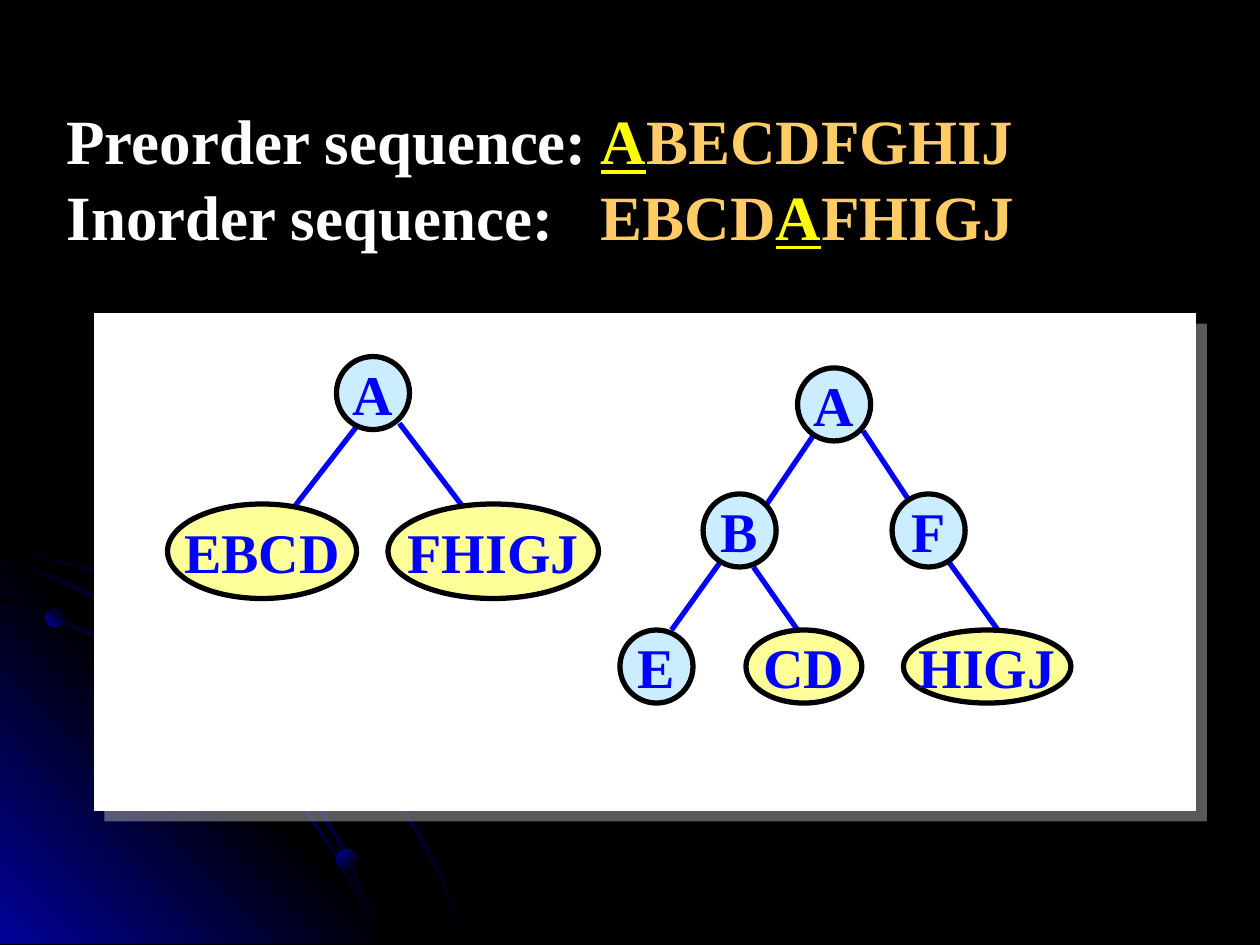
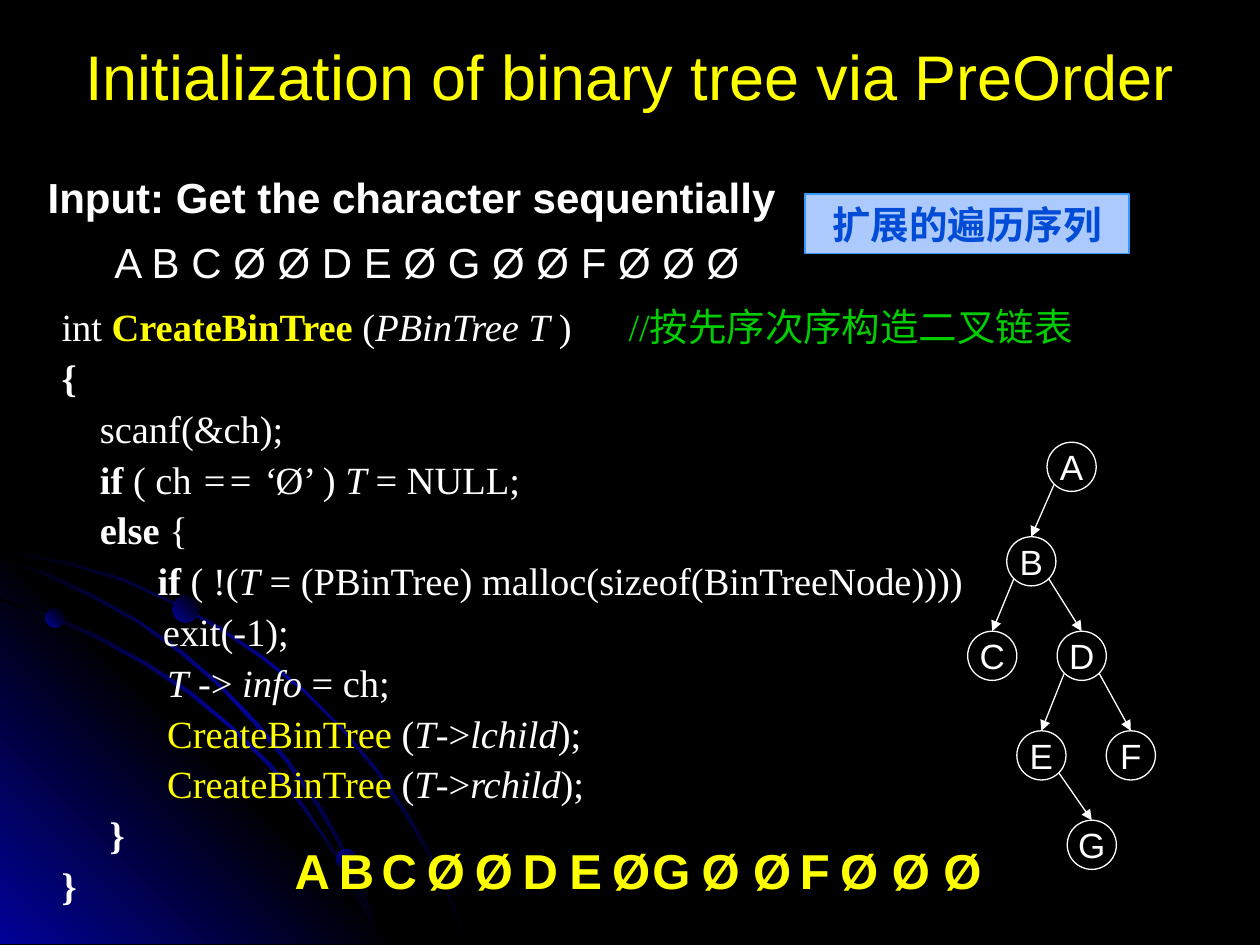
from dataclasses import dataclass
from math import sqrt
from typing import NamedTuple

from pptx import Presentation, oxml
from pptx.dml.color import RGBColor
from pptx.enum import shapes, text
from pptx.oxml import ns
from pptx.util import Inches, Pt

BLACK = RGBColor(0x00, 0x00, 0x00)
WHITE = RGBColor(0xFF, 0xFF, 0xFF)
NAVY = RGBColor(0x01, 0x01, 0x99)
BLUE = RGBColor(0x00, 0x00, 0xFF)
YELLOW = RGBColor(0xFF, 0xFF, 0x00)
ORANGE = RGBColor(0xFF, 0xCC, 0x66)
GREEN = RGBColor(0x00, 0xCC, 0x00)
PALE = RGBColor(0xCC, 0xEC, 0xFF)
CREAM = RGBColor(0xFF, 0xFF, 0x99)
TAG_FILL = RGBColor(0xAD, 0xCA, 0xFF)
TAG_LINE = RGBColor(0x33, 0x99, 0xFF)
TAG_TEXT = RGBColor(0x00, 0x4C, 0xD6)

SERIF, SANS, CJK = "Times New Roman", "Arial", "Noto Sans CJK SC"
TINTS = {"y": YELLOW, "o": ORANGE, "g": GREEN}
OVAL, RECT = shapes.MSO_SHAPE.OVAL, shapes.MSO_SHAPE.RECTANGLE
LEFT, CENTER = text.PP_ALIGN.LEFT, text.PP_ALIGN.CENTER

GLOW = [(3.22, 7.49), (0, 7.49), (0, 4.27)]
ARC_TOP = [
    (0.57, 4.47), (0.28, 4.41), (0, 4.35), (0, 4.38), (0.28, 4.43), (0.56, 4.49),
    (0.97, 4.61), (1.35, 4.78), (1.73, 4.99), (2.08, 5.23), (2.41, 5.49), (2.71, 5.79),
    (2.98, 6.12), (3.23, 6.49), (3.37, 6.73), (3.5, 6.98), (3.6, 7.23), (3.7, 7.49),
    (3.72, 7.49), (3.62, 7.23), (3.52, 6.98), (3.39, 6.73), (3.25, 6.48), (3, 6.11),
    (2.72, 5.78), (2.42, 5.48), (2.09, 5.21), (1.74, 4.97), (1.36, 4.77), (0.98, 4.59)]
ARC_LOW = [
    (2.85, 7.14), (2.94, 7.32), (3.01, 7.49), (3.03, 7.49), (2.96, 7.3), (2.86, 7.12),
    (2.66, 6.76), (2.42, 6.4), (2.15, 6.06), (1.84, 5.76), (1.52, 5.49), (1.17, 5.26),
    (0.79, 5.05), (0.41, 4.88), (0, 4.75), (0, 4.77), (0.39, 4.9), (0.77, 5.07),
    (1.15, 5.28), (1.5, 5.51), (1.83, 5.78), (2.13, 6.08), (2.4, 6.41), (2.65, 6.77)]
ARC_MID = [
    (0, 4.42), (0, 4.44), (0.36, 4.57), (0.74, 4.75), (1.09, 4.94), (1.42, 5.18),
    (1.73, 5.44), (2.02, 5.75), (2.27, 6.05), (2.52, 6.41), (2.67, 6.67), (2.8, 6.94),
    (2.92, 7.22), (3.01, 7.49), (3.03, 7.49), (2.94, 7.2), (2.82, 6.93), (2.69, 6.65),
    (2.54, 6.39), (2.29, 6.03), (2.04, 5.73), (1.75, 5.43), (1.44, 5.16), (1.11, 4.93),
    (0.76, 4.73), (0.39, 4.55)]


class Run(NamedTuple):
    """Marks: b bold, i italic, u underline, and the keys of TINTS."""
    words: str
    marks: str = ""


class Font(NamedTuple):
    face: str
    size: float
    color: RGBColor
    bold: bool = False


class Ball(NamedTuple):
    x: float
    y: float
    size: float
    angle: int


@dataclass(frozen=True)
class Node:
    label: str
    x: float
    y: float
    w: float = 0.58
    h: float = 0.58
    fill: RGBColor | None = PALE


@dataclass(frozen=True)
class Look:
    font: Font
    line: RGBColor
    width: float


BALLS = [Ball(0.36, 4.83, 0.15, 315), Ball(2.67, 6.74, 0.16, 45)]
MID_BALL = Ball(1.37, 4.73, 0.21, 315)

SPLIT_LOOK = Look(Font(SERIF, 32, BLUE, True), BLACK, 3)
SPLIT_EDGES = [
    (2.85, 3.36, 2.33, 4.03), (3.17, 3.36, 3.68, 4.03),
    (6.85, 3.42, 7.24, 4.01), (7.53, 4.46, 7.92, 5), (6.48, 3.42, 6.08, 4.01),
    (5.71, 4.47, 5.33, 5), (5.98, 4.5, 6.33, 5)]
SPLIT_NODES = [
    Node("A", 2.67, 2.83), Node("EBCD", 1.33, 4, 1.5, 0.75, CREAM),
    Node("FHIGJ", 3.08, 4, 1.67, 0.75, CREAM),
    Node("B", 5.58, 3.92), Node("E", 4.92, 5), Node("CD", 5.92, 5, 0.92, fill=CREAM),
    Node("HIGJ", 7.17, 5, 1.33, fill=CREAM), Node("F", 7.08, 3.92), Node("A", 6.33, 2.92)]
ORDERS = [
    [Run("Preorder sequence:\t"), Run("A", "yu"), Run("BECDFGHIJ", "o")],
    [Run("Inorder sequence:\t"), Run("EBCD", "o"), Run("A", "yu"), Run("FHIGJ", "o")]]

TREE_LOOK = Look(Font(SANS, 20, WHITE), WHITE, 0.75)
TREE_SPOTS = {"A": (8.31, 3.51), "B": (7.99, 4.26), "C": (7.68, 5.01), "D": (8.39, 5.01),
              "E": (8.07, 5.8), "F": (8.78, 5.8), "G": (8.47, 6.51)}
TREE_LINKS = ["AB", "BC", "BD", "DE", "DF", "EG"]
INPUT = [[Run("Input: Get the character sequentially", "b")],
         [Run("A B C Ø Ø D E Ø G Ø Ø F Ø Ø Ø")]]
STEPS = [(2.24, 0.48, "A"), (2.59, 0.48, "B"), (2.93, 0.48, "C"), (3.29, 0.5, "Ø"),
         (3.67, 0.5, "Ø"), (4.05, 0.48, "D"), (4.42, 0.46, "E"), (4.76, 0.5, "Ø"),
         (5.08, 0.5, "G"), (5.47, 0.91, "Ø Ø"), (6.25, 0.44, "F"), (6.57, 1.32, "Ø Ø Ø")]


def call(name: str, child: str) -> list[Run]:
    """Code line of a recursive call on one child."""
    return [Run("           "), Run(name, "y"), Run("("), Run("T", "i"), Run("->"),
            Run(child, "i"), Run(");")]


CODE = [
    [Run("int "), Run("CreateBinTree ", "by"), Run("("), Run("PBinTree T ", "i"),
     Run(") \t"), Run("//按先序次序构造二叉链表", "g")],
    [Run("{", "b")],
    [Run("    scanf(&ch);")],
    [Run("    if", "b"), Run(" ( ch"), Run(" == ‘", "i"), Run("Ø’ ) "), Run("T ", "i"),
     Run("= NULL;")],
    [Run("    "), Run("else", "b"), Run(" {")],
    [Run("          "), Run("if", "b"), Run(" ( !("), Run("T", "i"),
     Run(" = (PBinTree) malloc(sizeof(BinTreeNode))))")],
    [Run("\t    exit(-1);")],
    [Run("           ", "b"), Run("T", "i"), Run(" -> "), Run("info", "i"), Run(" = ch;")],
    call("CreateBinTree ", "lchild"),
    call("CreateBinTree ", "rchild"),
    [Run("     }", "b")],
    [Run("}", "b")]]


def xml(tag: str, body: str = "", attrs: str = ""):
    return oxml.parse_xml(f"<a:{tag} {ns.nsdecls('a')} {attrs}>{body}</a:{tag}>")


def style(run, font: Font, marks: str = "") -> None:
    face = run.font
    face.name, face.size = font.face, Pt(font.size)
    face.bold = font.bold or "b" in marks
    face.italic, face.underline = "i" in marks, "u" in marks
    face.color.rgb = next((TINTS[m] for m in marks if m in TINTS), font.color)
    if font.face == CJK:
        run._r.get_or_add_rPr().append(xml("ea", attrs=f'typeface="{CJK}"'))


def label(shape, words: str, font: Font, align=CENTER, wrap: bool = False) -> None:
    frame = shape.text_frame
    frame.text, frame.word_wrap = words, wrap
    par = frame.paragraphs[0]
    par.alignment = align
    style(par.runs[0], font)


def add_box(slide, x: float, y: float, w: float, h: float):
    return slide.shapes.add_textbox(Inches(x), Inches(y), Inches(w), Inches(h))


def write(box, lines: list[list[Run]], font: Font, space: float = 1.0) -> None:
    frame = box.text_frame
    frame.word_wrap = True
    for at, line in enumerate(lines):
        par = frame.add_paragraph() if at else frame.paragraphs[0]
        par.line_spacing = space
        for part in line:
            run = par.add_run()
            run.text = part.words
            style(run, font, part.marks)


def add_shape(slide, kind, x: float, y: float, w: float, h: float,
              fill: RGBColor | None, line: RGBColor, width: float):
    shape = slide.shapes.add_shape(kind, Inches(x), Inches(y), Inches(w), Inches(h))
    shape.shadow.inherit = False
    if fill is None:
        shape.fill.background()
    else:
        shape.fill.solid()
        shape.fill.fore_color.rgb = fill
    shape.line.color.rgb, shape.line.width = line, Pt(width)
    return shape


def add_node(slide, node: Node, look: Look):
    shape = add_shape(slide, OVAL, node.x, node.y, node.w, node.h, node.fill,
                      look.line, look.width)
    label(shape, node.label, look.font)
    return shape


def add_line(slide, x1: float, y1: float, x2: float, y2: float, color: RGBColor,
             width: float, arrow: bool = False):
    line = slide.shapes.add_connector(shapes.MSO_CONNECTOR.STRAIGHT, Inches(x1),
                                      Inches(y1), Inches(x2), Inches(y2))
    line.line.color.rgb, line.line.width = color, Pt(width)
    if arrow:
        line.line._get_or_add_ln().append(xml("tailEnd", attrs='type="triangle"'))
    line._element.spPr.append(xml("effectLst"))
    return line


def shade(shape, colors: list[RGBColor], angle: int) -> None:
    """Fill with evenly spaced gradient stops, angle clockwise."""
    shape.shadow.inherit = False
    shape.line.fill.background()
    shape.fill.background()
    step = 100000 // (len(colors) - 1)
    stops = "".join(f'<a:gs pos="{i * step}"><a:srgbClr val="{c}"/></a:gs>'
                    for i, c in enumerate(colors))
    grad = xml("gradFill", f'<a:gsLst>{stops}</a:gsLst><a:lin ang="{angle * 60000}" scaled="0"/>')
    props = shape._element.spPr
    props.replace(props.find(ns.qn("a:noFill")), grad)


def add_form(slide, spots: list[tuple[float, float]], colors: list[RGBColor],
             angle: int) -> None:
    first, *rest = [(Inches(x), Inches(y)) for x, y in spots]
    form = slide.shapes.build_freeform(*first)
    form.add_line_segments(rest, close=True)
    shade(form.convert_to_shape(), colors, angle)


def add_slide(deck, balls: list[Ball]):
    """Blank slide with the black ground, the glow, its arcs and balls."""
    slide = deck.slides.add_slide(deck.slide_layouts[6])
    slide.background.fill.solid()
    slide.background.fill.fore_color.rgb = BLACK
    fade = [BLACK, NAVY, BLACK]
    add_form(slide, ARC_TOP, fade, 45)
    add_form(slide, GLOW, [NAVY, BLACK, NAVY], 315)
    add_form(slide, ARC_LOW, fade, 45)
    add_form(slide, ARC_MID, fade, 45)
    for ball in balls:
        shape = add_shape(slide, OVAL, ball.x, ball.y, ball.size, ball.size, None, BLACK, 0)
        shade(shape, [NAVY, BLACK], ball.angle)
    return slide


def draw_split(deck) -> None:
    slide = add_slide(deck, BALLS)
    panel = add_shape(slide, RECT, 0.75, 2.49, 8.74, 3.94, WHITE, WHITE, 0.75)
    cast = xml("outerShdw", '<a:srgbClr val="B2B2B2"><a:alpha val="50000"/></a:srgbClr>',
               f'dist="{Pt(8.5)}" dir="2700000" algn="ctr" rotWithShape="0"')
    panel._element.spPr.find(ns.qn("a:effectLst")).append(cast)
    for edge in SPLIT_EDGES:
        add_line(slide, *edge, BLUE, 3)
    for node in SPLIT_NODES:
        add_node(slide, node, SPLIT_LOOK)
    box = add_box(slide, 0.43, 0.76, 7.76, 1.3)
    write(box, ORDERS, Font(SERIF, 36, WHITE, True))
    for par in box.text_frame.paragraphs:
        stop = f'<a:tab pos="{Inches(4.24)}" algn="l"/>'
        par._p.get_or_add_pPr().append(xml("tabLst", stop))


def draw_tree(slide) -> None:
    size = 0.39
    nodes = {name: add_node(slide, Node(name, x, y, size, size, None), TREE_LOOK)
             for name, (x, y) in TREE_SPOTS.items()}
    reach = size / 2 / sqrt(2)
    for top, low in TREE_LINKS:
        (x1, y1), (x2, y2) = TREE_SPOTS[top], TREE_SPOTS[low]
        side = reach if x2 > x1 else -reach
        line = add_line(slide, x1 + size / 2 + side, y1 + size / 2 + reach,
                        x2 + size / 2, y2, WHITE, 0.75, arrow=True)
        line.end_connect(nodes[low], 0)


def draw_code(deck) -> None:
    slide = add_slide(deck, BALLS + [MID_BALL])
    title = add_box(slide, 0.5, -0.03, 9, 1.25)
    title.text_frame.vertical_anchor = text.MSO_ANCHOR.MIDDLE
    label(title, "Initialization of binary tree via PreOrder", Font(SANS, 36, YELLOW), wrap=True)
    write(add_box(slide, 0.39, 2.32, 9.33, 4.99), CODE, Font(SERIF, 22, WHITE), 1.1)
    box = add_box(slide, 0.28, 1.19, 6.33, 1.15)
    write(box, INPUT, Font(SANS, 24, WHITE), 1.3)
    box.text_frame.paragraphs[1]._p.get_or_add_pPr().set("marL", str(Inches(0.53)))
    draw_tree(slide)
    for x, w, words in STEPS:
        label(add_box(slide, x, 6.62, w, 0.57), words, Font(SANS, 28, YELLOW, True), LEFT)
    tag = add_shape(slide, RECT, 6.39, 1.54, 2.57, 0.47, TAG_FILL, TAG_LINE, 0.75)
    label(tag, "扩展的遍历序列", Font(CJK, 22, TAG_TEXT, True), wrap=True)


def main() -> None:
    deck = Presentation()
    deck.slide_width, deck.slide_height = Inches(10), Inches(7.5)
    draw_split(deck)
    draw_code(deck)
    deck.save("out.pptx")


if __name__ == "__main__":
    main()
